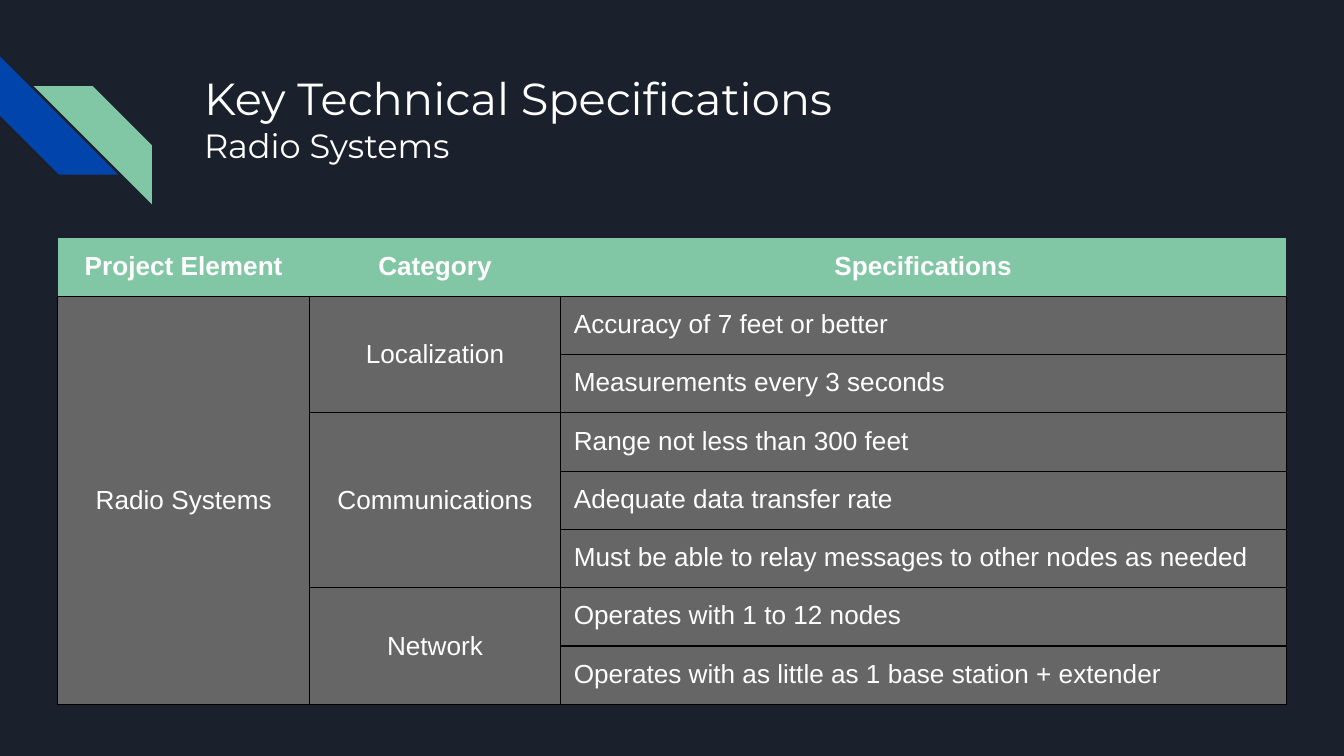
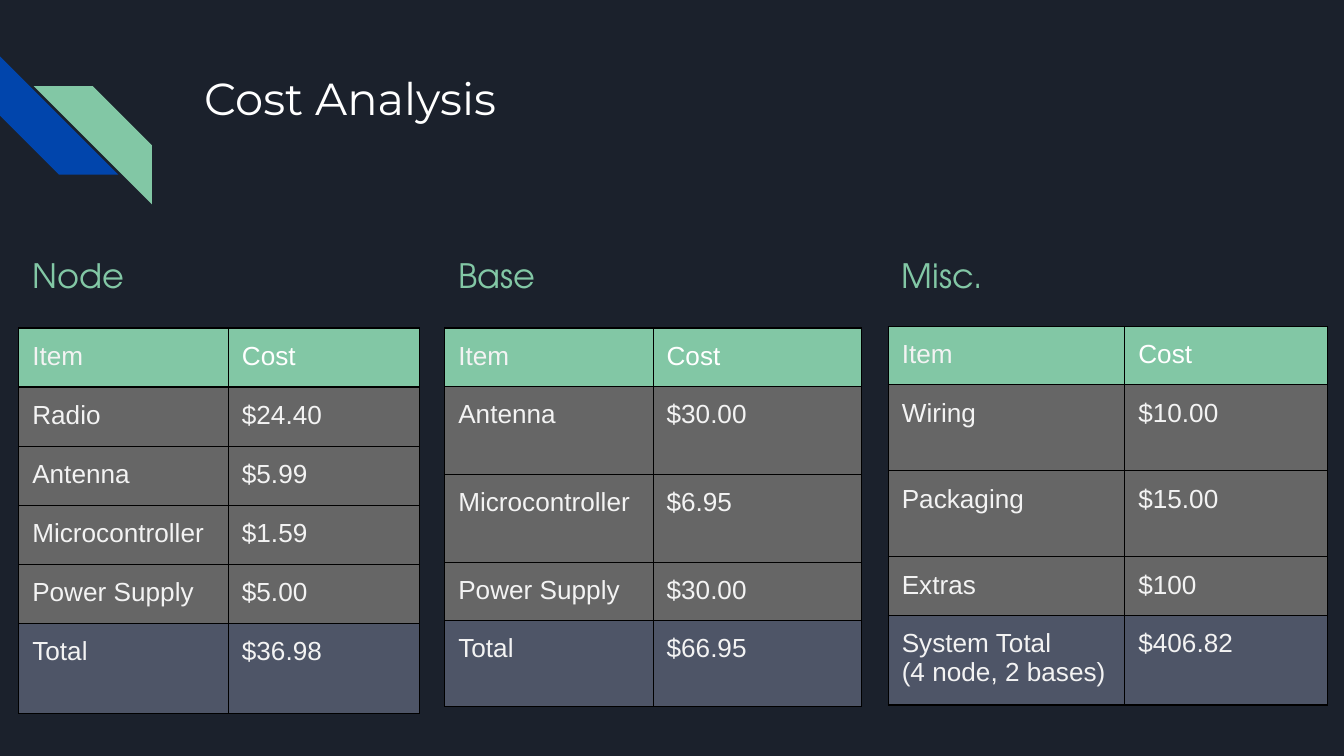
from lxml.etree import SubElement
from pptx import Presentation
from pptx.dml.color import RGBColor as Color
from pptx.enum.shapes import MSO_SHAPE as Preset
from pptx.enum.text import MSO_ANCHOR as Anchor, PP_ALIGN as Align
from pptx.oxml.ns import qn
from pptx.util import Pt

EMU_PER_PX = 4572
NAVY = Color(0x1B, 0x21, 0x2C)
BLUE = Color(0x01, 0x45, 0xAC)
GREEN = Color(0x82, 0xC7, 0xA5)
GREY = Color(0x66, 0x66, 0x66)
SLATE = Color(0x4E, 0x55, 0x67)
WHITE = Color(0xFF, 0xFF, 0xFF)
PALE = Color(0xF3, 0xF3, 0xF3)
BLACK = Color(0x00, 0x00, 0x00)
TITLE_FONT = "Montserrat"
LABEL_FONT = "TeX Gyre Adventor"
TABLE_FONT = "Arial"
PLAIN_TABLE_STYLE = "{2D5ABB26-0587-4C30-8999-92F81FD0307C}"
INSET = 20
ALL_SIDES = "LRTB"

SPECIFICATIONS = {
    "Localization": ["Accuracy of 7 feet or better", "Measurements every 3 seconds"],
    "Communications": [
        "Range not less than 300 feet",
        "Adequate data transfer rate",
        "Must be able to relay messages to other nodes as needed",
    ],
    "Network": [
        "Operates with 1 to 12 nodes",
        "Operates with as little as 1 base station + extender",
    ],
}

COST_TABLES = [
    ("Node", 28, 488, [312, 284], [88] * 5 + [134], [
        ("Radio", "$24.40"), ("Antenna", "$5.99"), ("Microcontroller", "$1.59"),
        ("Power Supply", "$5.00"), ("Total", "$36.98")]),
    ("Base", 662, 488, [310, 310], [84, 131, 131, 84, 128], [
        ("Antenna", "$30.00"), ("Microcontroller", "$6.95"),
        ("Power Supply", "$30.00"), ("Total", "$66.95")]),
    ("Misc.", 1322, 486, [352, 302], [84, 128, 128, 87, 127], [
        ("Wiring", "$10.00"), ("Packaging", "$15.00"), ("Extras", "$100"),
        ("System Total\n(4 node, 2 bases)", "$406.82")]),
]


def px(*lengths):
    return [length * EMU_PER_PX for length in lengths]


def set_text(frame, text, sizes, font, color, align=Align.LEFT, bold=False):
    frame.text = text
    frame.word_wrap = True
    for index, para in enumerate(frame.paragraphs):
        para.alignment = align
        for span in para.runs:
            span.font.size = Pt(sizes[min(index, len(sizes) - 1)])
            span.font.name = font
            span.font.bold = bold
            span.font.color.rgb = color


def add_text(page, place, text, sizes, font, color):
    box = page.shapes.add_textbox(*px(*place))
    frame = box.text_frame
    margin, = px(INSET)
    frame.margin_left = frame.margin_right = margin
    frame.margin_top = frame.margin_bottom = margin
    set_text(frame, text, sizes, font, color)


def add_stripe(page, left, top, rotation, color):
    stripe = page.shapes.add_shape(Preset.DIAGONAL_STRIPE, *px(left, top, 176, 176))
    stripe.adjustments[0] = 0.5
    stripe.rotation = rotation
    stripe.shadow.inherit = False
    stripe.fill.solid()
    stripe.fill.fore_color.rgb = color
    stripe.line.fill.background()


def add_page(deck, title):
    page = deck.slides.add_slide(deck.slide_layouts[6])
    page.background.fill.solid()
    page.background.fill.fore_color.rgb = NAVY
    add_stripe(page, 0, 84, 270, BLUE)
    add_stripe(page, 50, 128, 90, GREEN)
    add_text(page, (284, 86, 1540, 200), title, [24, 18], TITLE_FONT, WHITE)
    return page


def add_grid(page, left, top, widths, heights):
    place = px(left, top, sum(widths), sum(heights))
    holder = page.shapes.add_table(len(heights), len(widths), *place)
    for style in holder._element.iter(qn("a:tableStyleId")):
        style.text = PLAIN_TABLE_STYLE
    table = holder.table
    table.horz_banding = False
    for column, width in zip(table.columns, px(*widths)):
        column.width = width
    for row, height in zip(table.rows, px(*heights)):
        row.height = height
    return table


def style_cell(cell, fill, sides=ALL_SIDES):
    properties = cell._tc.get_or_add_tcPr()
    for side in sides:
        line = SubElement(properties, qn(f"a:ln{side}"), w=str(Pt(0.75)))
        solid = SubElement(line, qn("a:solidFill"))
        SubElement(solid, qn("a:srgbClr"), val=str(BLACK))
    cell.fill.solid()
    cell.fill.fore_color.rgb = fill
    margin, = px(INSET)
    cell.margin_left = cell.margin_right = margin
    cell.margin_top = cell.margin_bottom = margin


def fill_cell(cell, text, color, align=Align.LEFT, bold=False):
    set_text(cell.text_frame, text, [14], TABLE_FONT, color, align, bold)


def merge_down(table, column, first, last, text):
    cell = table.cell(first, column)
    cell.merge(table.cell(last, column))
    cell.vertical_anchor = Anchor.MIDDLE
    fill_cell(cell, text, WHITE, Align.CENTER)


def add_specification_table(page):
    row_count = 1 + sum(len(items) for items in SPECIFICATIONS.values())
    table = add_grid(page, 86, 354, [375, 373, 1080], [84] * row_count)
    for column, heading in enumerate(["Project Element", "Category", "Specifications"]):
        cell = table.cell(0, column)
        style_cell(cell, GREEN, "B")
        fill_cell(cell, heading, WHITE, Align.CENTER, True)
        for row in range(1, row_count):
            style_cell(table.cell(row, column), GREY)
    merge_down(table, 0, 1, row_count - 1, "Radio Systems")
    first = 1
    for category, items in SPECIFICATIONS.items():
        merge_down(table, 1, first, first + len(items) - 1, category)
        for row, item in enumerate(items, first):
            fill_cell(table.cell(row, 2), item, WHITE)
        first += len(items)


def add_cost_table(page, left, top, widths, heights, costs):
    table = add_grid(page, left, top, widths, heights)
    fills = [GREEN] + [GREY] * (len(costs) - 1) + [SLATE]
    for row, (texts, fill) in enumerate(zip([("Item", "Cost")] + costs, fills)):
        for column, text in enumerate(texts):
            cell = table.cell(row, column)
            style_cell(cell, fill)
            fill_cell(cell, text, WHITE if text == "Cost" else PALE)


def main():
    deck = Presentation()
    deck.slide_width, deck.slide_height = px(2000, 1125)

    page = add_page(deck, "Key Technical Specifications\nRadio Systems")
    add_specification_table(page)

    page = add_page(deck, "Cost Analysis")
    for label, left, top, widths, heights, costs in COST_TABLES:
        add_cost_table(page, left, top, widths, heights, costs)
        add_text(page, (left, 360, 266, 128), label, [18], LABEL_FONT, GREEN)

    deck.save("out.pptx")


if __name__ == "__main__":
    main()
